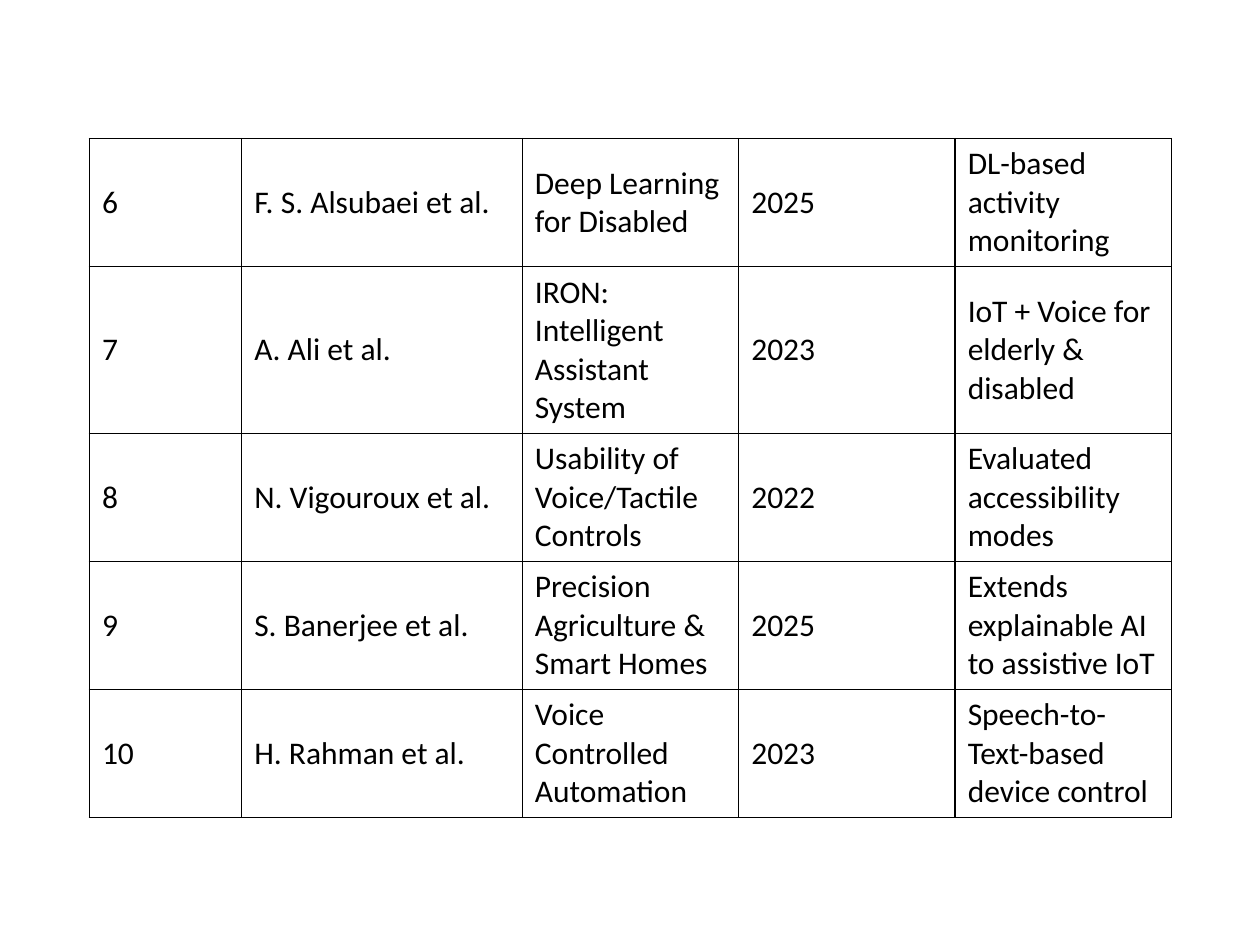
from dataclasses import dataclass

from lxml import etree
from pptx import Presentation, util as u
from pptx.dml.color import RGBColor
from pptx.enum import text
from pptx.oxml import ns
from pptx.util import Inches


@dataclass(frozen=True)
class Theme:
    font: str = "Calibri"
    size: int = 18
    ink: str = "000000"
    paper: str = "FFFFFF"
    border: int = 1


THEME = Theme()

# Number, authors, title, year, contribution
STUDIES = [
    ("6", "F. S. Alsubaei et al.", "Deep Learning for Disabled", "2025",
     "DL-based activity monitoring"),
    ("7", "A. Ali et al.", "IRON: Intelligent Assistant System", "2023",
     "IoT + Voice for elderly & disabled"),
    ("8", "N. Vigouroux et al.", "Usability of Voice/Tactile Controls", "2022",
     "Evaluated accessibility modes"),
    ("9", "S. Banerjee et al.", "Precision Agriculture & Smart Homes", "2025",
     "Extends explainable AI to assistive IoT"),
    ("10", "H. Rahman et al.", "Voice Controlled Automation", "2023",
     "Speech-to-Text-based device control"),
]
COL_WIDTHS = [1.21, 2.23, 1.72, 1.72, 1.72]
ROW_HEIGHTS = [1.01, 1.32, 1.01, 1.01, 1.01]


def add_borders(cell):
    """Draw a solid line on all four sides; lines come before the fill."""
    tc_pr = cell._tc.get_or_add_tcPr()
    for i, side in enumerate(("lnL", "lnR", "lnT", "lnB")):
        ln = etree.Element(ns.qn(f"a:{side}"), w=str(u.Pt(THEME.border)))
        fill = etree.SubElement(ln, ns.qn("a:solidFill"))
        etree.SubElement(fill, ns.qn("a:srgbClr"), val=THEME.ink)
        tc_pr.insert(i, ln)


def fill_cell(cell, value):
    cell.fill.solid()
    cell.fill.fore_color.rgb = RGBColor.from_string(THEME.paper)
    cell.vertical_anchor = text.MSO_ANCHOR.MIDDLE
    r = cell.text_frame.paragraphs[0].add_run()
    r.text = value
    r.font.name = THEME.font
    r.font.size = u.Pt(THEME.size)
    r.font.bold = False
    r.font.color.rgb = RGBColor.from_string(THEME.ink)
    add_borders(cell)


def add_study_table(s, left, top, width, height):
    """Literature table, its columns and rows scaled to the given box."""
    table = s.shapes.add_table(len(STUDIES), len(COL_WIDTHS),
                               left, top, width, height).table
    table.first_row = table.horz_banding = False
    for col, share in zip(table.columns, COL_WIDTHS):
        col.width = int(width * share / sum(COL_WIDTHS))
    for row, share in zip(table.rows, ROW_HEIGHTS):
        row.height = int(height * share / sum(ROW_HEIGHTS))
    for row, study in zip(table.rows, STUDIES):
        for cell, value in zip(row.cells, study):
            fill_cell(cell, value)


def main():
    prs = Presentation()
    prs.slide_width, prs.slide_height = Inches(10), Inches(7.5)
    s = prs.slides.add_slide(prs.slide_layouts[6])
    add_study_table(s, Inches(0.71), Inches(1.1), Inches(8.59), Inches(5.38))
    prs.save("out.pptx")


if __name__ == "__main__":
    main()
